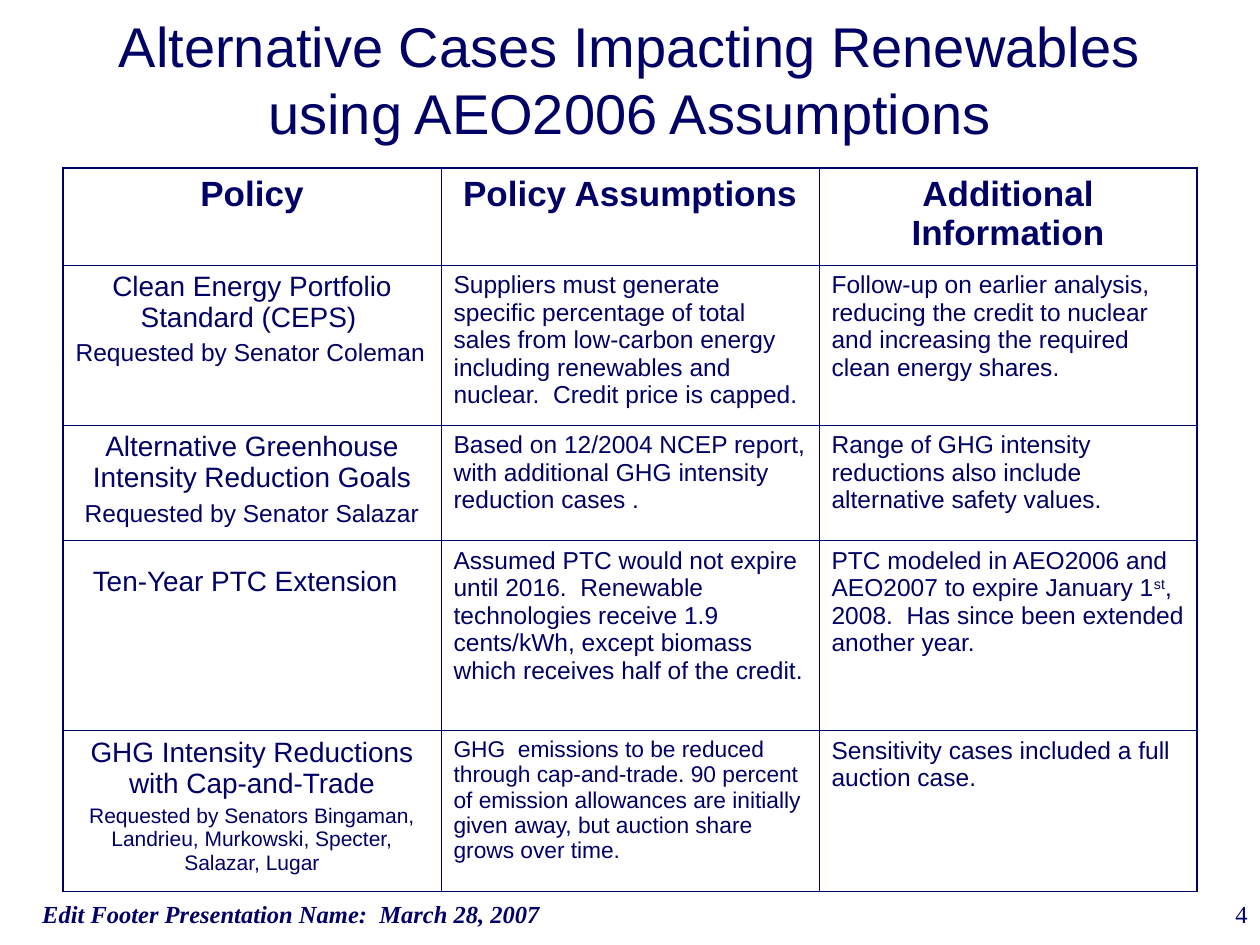
from dataclasses import dataclass

import pptx
import pptx.dml.color
import pptx.enum.text
import pptx.oxml
import pptx.oxml.ns
import pptx.util

Pt = pptx.util.Pt
Align = pptx.enum.text.PP_ALIGN
NAVY = pptx.dml.color.RGBColor(0x00, 0x00, 0x66)
HEADING = {"size": Pt(20), "bold": True}
POLICY = {"size": Pt(16)}
DETAIL = {"size": Pt(14)}
REDUCED = {"size": Pt(13)}
SPONSORS = {"size": Pt(12)}
FOOTER = {"name": "Times New Roman", "size": Pt(14)}
OUTER_WIDTH, INNER_WIDTH = Pt(1.08), Pt(0.45)


@dataclass
class Piece:
    text: str
    style: dict
    superscript: bool = False


@dataclass
class Line:
    pieces: list[Piece]
    align: Align = Align.LEFT
    before: float = 0
    indent: float = 0


def centered(text: str, style: dict, before: float = 0) -> Line:
    return Line([Piece(text, style)], Align.CENTER, before)


def detail(text: str, style: dict = DETAIL) -> list[Line]:
    return [Line([Piece(text, style)])]


def write(frame, lines: list[Line]) -> None:
    for index, line in enumerate(lines):
        paragraph = frame.paragraphs[0] if index == 0 else frame.add_paragraph()
        paragraph.alignment = line.align
        if line.before:
            paragraph.space_before = Pt(line.before)
        if line.indent:
            properties = paragraph._p.get_or_add_pPr()
            properties.set("marL", str(Pt(line.indent)))
            properties.set("indent", "0")
        for piece in line.pieces:
            run = paragraph.add_run()
            run.text = piece.text
            run.font.color.rgb = NAVY
            for attribute, value in ({"name": "Arial", "bold": False} | piece.style).items():
                setattr(run.font, attribute, value)
            if piece.superscript:
                run._r.get_or_add_rPr().set("baseline", "30000")


def add_text(slide, left: float, top: float, width: float, height: float,
             line: Line, anchor=pptx.enum.text.MSO_ANCHOR.TOP) -> None:
    frame = slide.shapes.add_textbox(Pt(left), Pt(top), Pt(width), Pt(height)).text_frame
    frame.word_wrap = True
    frame.vertical_anchor = anchor
    write(frame, [line])


def add_borders(cell, outer_sides: dict[str, bool]) -> None:
    """Draw all four sides, heavier where the side lies on the table's edge."""
    properties = cell._tc.get_or_add_tcPr()
    for side, is_outer in outer_sides.items():
        width = OUTER_WIDTH if is_outer else INNER_WIDTH
        properties.append(pptx.oxml.parse_xml(
            f'<a:ln{side} {pptx.oxml.ns.nsdecls("a")} w="{int(width)}">'
            f'<a:solidFill><a:srgbClr val="{NAVY}"/></a:solidFill></a:ln{side}>'))


def add_policy_table(slide, rows: list[list[list[Line]]], heights: list[float]) -> None:
    column_count = len(rows[0])
    table = slide.shapes.add_table(len(rows), column_count, Pt(36), Pt(96),
                                   Pt(648), Pt(sum(heights))).table
    table.first_row = table.horz_banding = False
    for row_index, (row, height) in enumerate(zip(rows, heights)):
        table.rows[row_index].height = Pt(height)
        for column_index, lines in enumerate(row):
            cell = table.cell(row_index, column_index)
            cell.margin_left = cell.margin_right = Pt(7.2)
            cell.margin_top = cell.margin_bottom = Pt(3.6)
            add_borders(cell, {"L": column_index == 0,
                               "R": column_index == column_count - 1,
                               "T": row_index == 0,
                               "B": row_index == len(rows) - 1})
            cell.fill.background()
            write(cell.text_frame, lines)


POLICIES = [
    [[centered(heading, HEADING)]
     for heading in ("Policy", "Policy Assumptions", "Additional Information")],
    [
        [Line([Piece("Clean Energy Portfolio Standard (CEPS)", POLICY), Piece(" ", DETAIL)],
              Align.CENTER),
         Line([Piece("Requested by Senator Coleman", DETAIL)], before=3.5)],
        detail("Suppliers must generate specific percentage of total sales from low-carbon "
               "energy including renewables and nuclear.  Credit price is capped."),
        detail("Follow-up on earlier analysis, reducing the credit to nuclear and "
               "increasing the required clean energy shares."),
    ],
    [
        [centered("Alternative Greenhouse Intensity Reduction Goals", POLICY),
         centered("Requested by Senator Salazar", DETAIL, 3.5)],
        detail("Based on 12/2004 NCEP report, with additional GHG intensity "
               "reduction cases ."),
        detail("Range of GHG intensity reductions also include alternative safety values."),
    ],
    [
        [Line([Piece("Ten-Year PTC Extension", POLICY), Piece(" ", {"size": Pt(28)})],
              Align.CENTER)],
        detail("Assumed PTC would not expire until 2016.  Renewable technologies receive "
               "1.9 cents/kWh, except biomass which receives half of the credit."),
        [Line([Piece("PTC modeled in AEO2006 and AEO2007 to expire January 1", DETAIL),
               Piece("st", DETAIL, superscript=True),
               Piece(", 2008.  Has since been extended another year.", DETAIL)])],
    ],
    [
        [centered("GHG Intensity Reductions with Cap-and-Trade", POLICY),
         centered("Requested by Senators Bingaman, Landrieu, Murkowski, Specter, "
                  "Salazar, Lugar", SPONSORS, 3)],
        detail("GHG  emissions to be reduced through cap-and-trade. 90 percent of emission "
               "allowances are initially given away, but auction share grows over time.",
               REDUCED),
        detail("Sensitivity cases included a full auction case."),
    ],
]


def main() -> None:
    presentation = pptx.Presentation()
    presentation.slide_width, presentation.slide_height = Pt(720), Pt(540)
    slide = presentation.slides.add_slide(presentation.slide_layouts[6])
    add_text(slide, 36, 0, 648, 90,
             centered("Alternative Cases Impacting Renewables using AEO2006 Assumptions",
                      {"size": Pt(32)}),
             pptx.enum.text.MSO_ANCHOR.MIDDLE)
    add_policy_table(slide, POLICIES, [55.5, 91.5, 66, 108.5, 92])
    add_text(slide, 0, 510, 636, 30,
             Line([Piece("Edit Footer Presentation Name:  March 28, 2007",
                         FOOTER | {"bold": True, "italic": True})], indent=17))
    add_text(slide, 678, 510, 42, 30, Line([Piece("4", FOOTER)], Align.RIGHT, indent=17))
    presentation.save("out.pptx")


if __name__ == "__main__":
    main()
